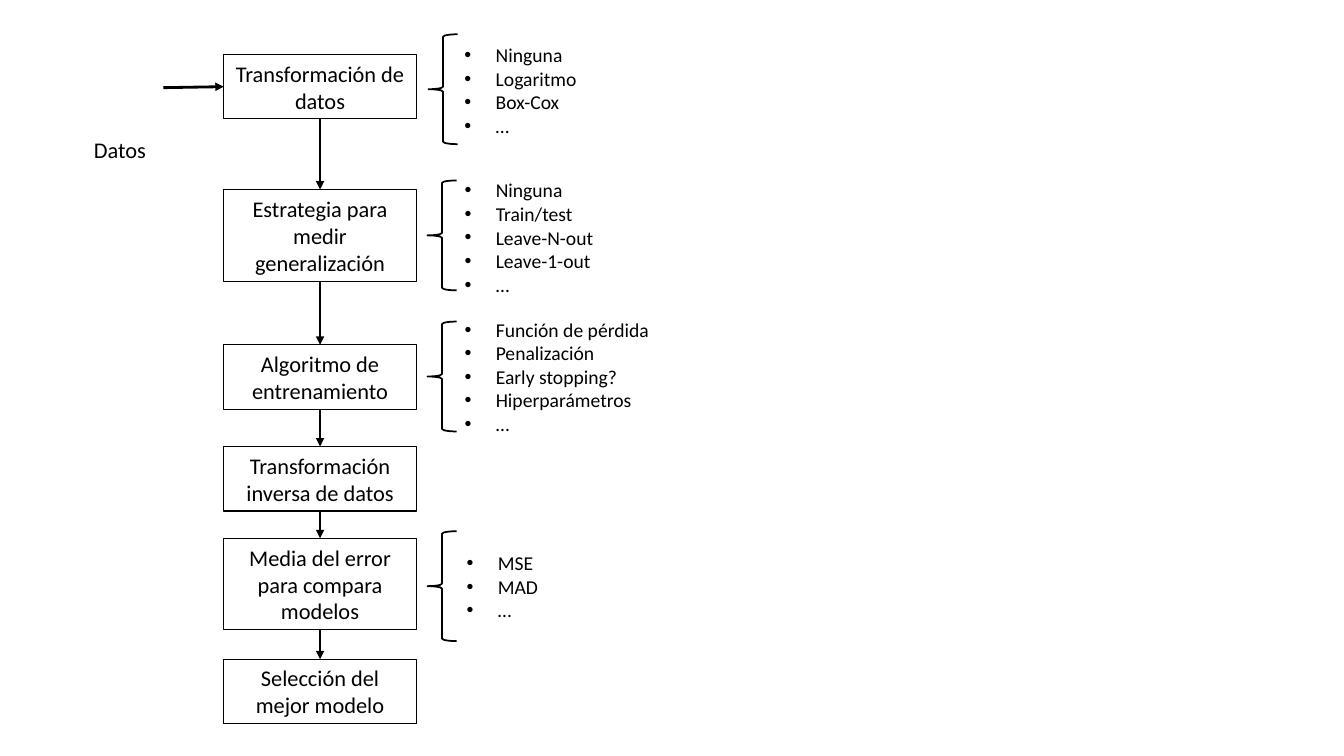
from dataclasses import dataclass
from itertools import pairwise

import pptx
import pptx.dml.color
import pptx.enum.dml
import pptx.enum.shapes
import pptx.enum.text
import pptx.oxml.ns
import pptx.shapes.autoshape
import pptx.shapes.connector
import pptx.slide
import pptx.text.text
import pptx.util
from lxml import etree


@dataclass(frozen=True)
class Theme:
    ink: pptx.dml.color.RGBColor = pptx.dml.color.RGBColor(0, 0, 0)
    font: str = "Calibri"
    step_size: int = 16
    option_size: int = 14
    box_line: float = 0.75
    brace_line: float = 1.25
    arrow_line: float = 2


@dataclass(frozen=True)
class Options:
    left: float
    top: float
    width: float
    height: float
    brace_left: float
    brace_top: float
    items: tuple[str, ...]


@dataclass(frozen=True)
class Step:
    label: str
    top: float
    height: float
    options: Options | None = None


THEME = Theme()
CELL = 0.1  # inches per grid column and row
COLUMNS, ROWS = 133.33, 75
STEP_LEFT, STEP_WIDTH = 22.2, 19.1
TWO_LINES, THREE_LINES = 6.4, 9.1
BRACE_WIDTH, BRACE_HEIGHT = 2.9, 10.9
BULLET_INDENT = 3.1

STEPS = (
    Step("Transformación de datos", 5.4, TWO_LINES,
         Options(45.1, 3.8, 13.3, 10.4, 42.5, 3.4,
                 ("Ninguna", "Logaritmo", "Box-Cox", "…"))),
    Step("Estrategia para medir generalización", 18.8, THREE_LINES,
         Options(45.1, 17.2, 14.9, 12.8, 42.4, 17.9,
                 ("Ninguna", "Train/test", "Leave-N-out", "Leave-1-out", "…"))),
    Step("Algoritmo de entrenamiento", 34.2, TWO_LINES,
         Options(45.1, 31, 20.5, 12.8, 42.4, 31.9,
                 ("Función de pérdida", "Penalización", "Early stopping?",
                  "Hiperparámetros", "…"))),
    Step("Transformación inversa de datos", 44.3, TWO_LINES),
    Step("Media del error para compara modelos", 53.4, THREE_LINES,
         Options(45.3, 54.2, 9.2, 8.1, 42.4, 52.7, ("MSE", "MAD", "…"))),
    Step("Selección del mejor modelo", 65.4, TWO_LINES),
)


def cells(*counts: float) -> list[pptx.util.Length]:
    return [pptx.util.Inches(count * CELL) for count in counts]


def add_words(paragraph: pptx.text.text._Paragraph, words: str, size: int) -> None:
    run = paragraph.add_run()
    run.text = words
    run.font.name = THEME.font
    run.font.size = pptx.util.Pt(size)
    run.font.color.rgb = THEME.ink


def add_centred(frame: pptx.text.text.TextFrame, words: str) -> None:
    frame.word_wrap = True
    frame.auto_size = pptx.enum.text.MSO_AUTO_SIZE.SHAPE_TO_FIT_TEXT
    frame.paragraphs[0].alignment = pptx.enum.text.PP_ALIGN.CENTER
    add_words(frame.paragraphs[0], words, THEME.step_size)


def add_outline(slide: pptx.slide.Slide, kind: pptx.enum.shapes.MSO_SHAPE,
                place: list[pptx.util.Length], width: float) -> pptx.shapes.autoshape.Shape:
    outline = slide.shapes.add_shape(kind, *place)
    outline.shadow.inherit = False
    outline.fill.background()
    outline.line.color.rgb = THEME.ink
    outline.line.width = pptx.util.Pt(width)
    return outline


def add_step(slide: pptx.slide.Slide, step: Step) -> pptx.shapes.autoshape.Shape:
    box = add_outline(slide, pptx.enum.shapes.MSO_SHAPE.RECTANGLE,
                      cells(STEP_LEFT, step.top, STEP_WIDTH, step.height), THEME.box_line)
    add_centred(box.text_frame, step.label)
    return box


def add_options(slide: pptx.slide.Slide, options: Options) -> None:
    add_outline(slide, pptx.enum.shapes.MSO_SHAPE.LEFT_BRACE,
                cells(options.brace_left, options.brace_top, BRACE_WIDTH, BRACE_HEIGHT),
                THEME.brace_line)
    frame = slide.shapes.add_textbox(
        *cells(options.left, options.top, options.width, options.height)).text_frame
    frame.word_wrap = False
    frame.auto_size = pptx.enum.text.MSO_AUTO_SIZE.SHAPE_TO_FIT_TEXT
    indent = cells(BULLET_INDENT)[0]
    for index, item in enumerate(options.items):
        paragraph = frame.add_paragraph() if index else frame.paragraphs[0]
        properties = paragraph._p.get_or_add_pPr()
        properties.set("marL", str(indent))
        properties.set("indent", str(-indent))
        bullet_font = etree.SubElement(properties, pptx.oxml.ns.qn("a:buFont"))
        bullet_font.set("typeface", "Arial")
        bullet = etree.SubElement(properties, pptx.oxml.ns.qn("a:buChar"))
        bullet.set("char", "•")
        add_words(paragraph, item, THEME.option_size)


def add_arrow(slide: pptx.slide.Slide,
              ends: list[pptx.util.Length]) -> pptx.shapes.connector.Connector:
    arrow = slide.shapes.add_connector(pptx.enum.shapes.MSO_CONNECTOR.STRAIGHT, *ends)
    arrow.line.color.rgb = THEME.ink
    arrow.line.width = pptx.util.Pt(THEME.arrow_line)
    head = etree.SubElement(arrow.line._get_or_add_ln(), pptx.oxml.ns.qn("a:tailEnd"))
    head.set("type", "triangle")
    etree.SubElement(arrow._element.spPr, pptx.oxml.ns.qn("a:effectLst"))
    return arrow


def main() -> None:
    deck = pptx.Presentation()
    deck.slide_width, deck.slide_height = cells(COLUMNS, ROWS)
    slide = deck.slides.add_slide(deck.slide_layouts[6])

    # Steps of the process, joined from top to bottom
    boxes = [add_step(slide, step) for step in STEPS]
    for upper, lower in pairwise(boxes):
        middle = upper.left + upper.width // 2
        link = add_arrow(slide, [middle, upper.top + upper.height, middle, lower.top])
        link.begin_connect(upper, 2)
        link.end_connect(lower, 0)

    # Data entering the first step
    data = slide.shapes.add_textbox(*cells(7.6, 13, 8.6, 3.7))
    add_centred(data.text_frame, "Datos")
    entry = add_arrow(slide, cells(16.2, 8.7, STEP_LEFT, 8.6))
    entry.end_connect(boxes[0], 1)

    # Options beside the steps
    for step in STEPS:
        if step.options:
            add_options(slide, step.options)

    deck.save("out.pptx")


if __name__ == "__main__":
    main()
